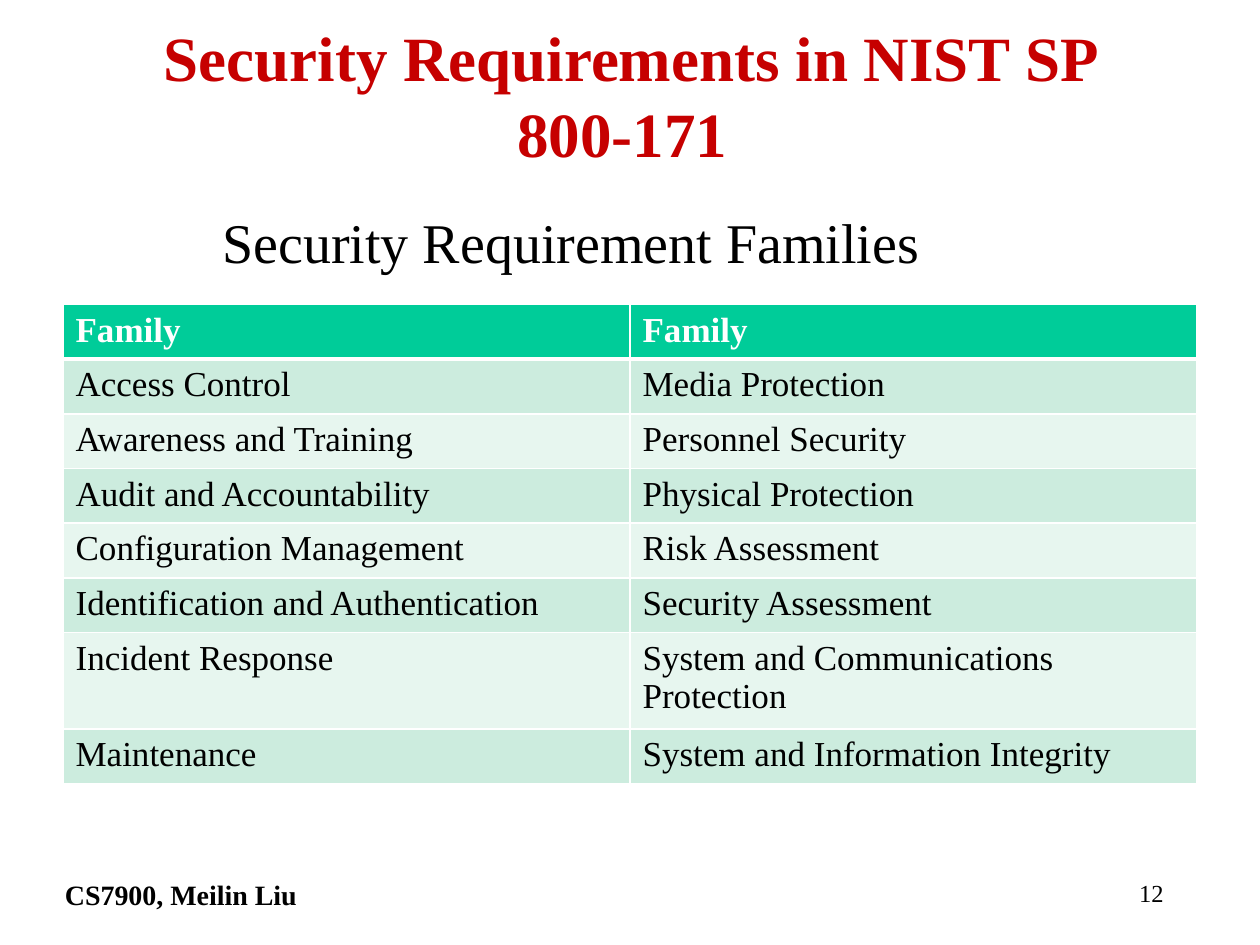
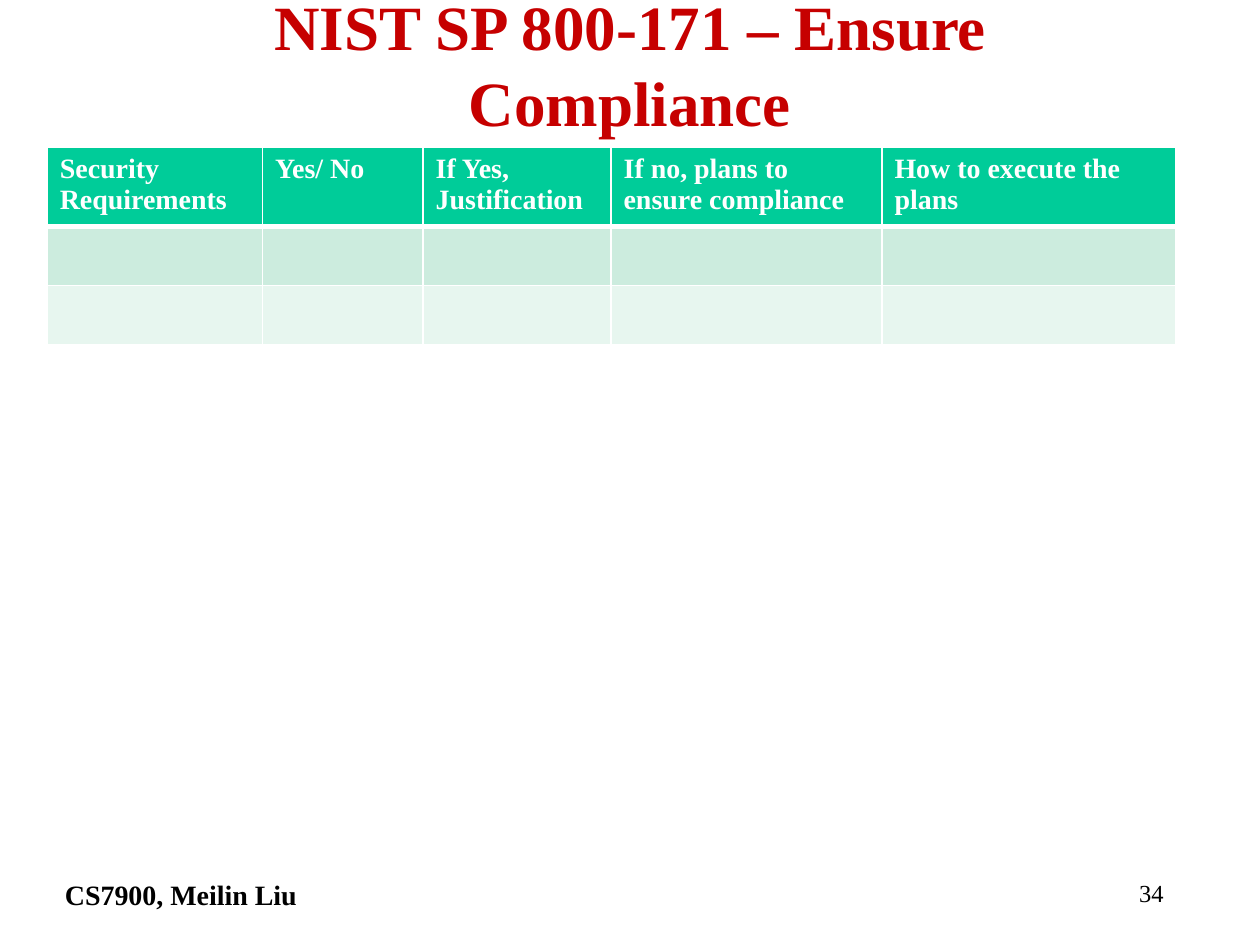
from dataclasses import dataclass

from lxml.etree import SubElement
from pptx import Presentation
from pptx.dml.color import RGBColor as Color
from pptx.enum.text import MSO_ANCHOR as Anchor, MSO_AUTO_SIZE as AutoSize, PP_ALIGN as Align
from pptx.oxml.ns import qn
from pptx.util import Inches, Pt

UNIT = Inches(1) // 12
COLUMNS, ROWS = 120, 90
TITLE_ONLY = 5


@dataclass(frozen=True)
class Theme:
    """Fonts, colours and type sizes shared by the slides."""
    font: str = "Times New Roman"
    title: str = "C60000"
    ink: str = "000000"
    paper: str = "FFFFFF"
    header: str = "00CC99"
    bands: tuple = ("CCECDE", "E7F6EF")
    title_size: int = 36
    subtitle_size: int = 32
    table_size: int = 20
    small_size: int = 16
    number_size: int = 14
    thin: int = 1
    thick: int = 3


THEME = Theme()

FAMILIES = [
    ("Family", "Family"),
    ("Access Control", "Media Protection"),
    ("Awareness and Training", "Personnel Security"),
    ("Audit and Accountability", "Physical Protection"),
    ("Configuration Management", "Risk Assessment"),
    ("Identification and Authentication", "Security Assessment"),
    ("Incident Response", "System and Communications Protection"),
    ("Maintenance", "System and Information Integrity"),
]
CHECKLIST = [
    ("Security Requirements", "Yes/ No", "If Yes, Justification",
     "If no, plans to ensure compliance", "How to execute the plans"),
    ("",) * 5,
    ("",) * 5,
]


def grid(*lengths):
    """Turn grid columns or rows into slide lengths."""
    return [round(length * UNIT) for length in lengths]


def style(para, size, color=THEME.ink, bold=False, align=Align.LEFT):
    """Set the font and alignment of a paragraph."""
    para.alignment = align
    para.font.name = THEME.font
    para.font.size = Pt(size)
    para.font.bold = bold
    para.font.color.rgb = Color.from_string(color)


def add_title(page, box, text):
    """Place the slide title in its placeholder."""
    title = page.shapes.title
    title.left, title.top, title.width, title.height = grid(*box)
    frame = title.text_frame
    frame.text = text
    frame.word_wrap = True
    frame.auto_size = AutoSize.NONE
    frame.vertical_anchor = Anchor.MIDDLE
    frame.margin_left = frame.margin_right = Inches(0.15)
    style(frame.paragraphs[0], THEME.title_size, THEME.title, True, Align.CENTER)


def add_label(page, box, text, size, wrap=True, **look):
    """Place one line of text in a text box."""
    frame = page.shapes.add_textbox(*grid(*box)).text_frame
    frame.word_wrap = wrap
    frame.text = text
    style(frame.paragraphs[0], size, **look)


def add_footer(page, number):
    """Place the course line and the slide number."""
    add_label(page, (5, 83, 76, 5), "CS7900, Meilin Liu", THEME.small_size, bold=True)
    add_label(page, (87, 83, 25, 5), number, THEME.number_size, align=Align.RIGHT)


def add_borders(cell, top, bottom):
    """Draw the four border lines of a cell."""
    properties = cell._tc.get_or_add_tcPr()
    sides = {"L": THEME.thin, "R": THEME.thin, "T": top, "B": bottom}
    for side, width in sides.items():
        line = SubElement(properties, qn(f"a:ln{side}"), w=str(Pt(width)))
        fill = SubElement(line, qn("a:solidFill"))
        SubElement(fill, qn("a:srgbClr"), val=THEME.paper)


def add_banded_table(page, corner, widths, heights, records, size):
    """Place a table with a coloured header and alternating row fills."""
    box = grid(*corner, sum(widths), sum(heights))
    table = page.shapes.add_table(len(heights), len(widths), *box).table
    table.horz_banding = False
    for column, width in zip(table.columns, grid(*widths)):
        column.width = width
    for index, (row, height, record) in enumerate(zip(table.rows, grid(*heights), records)):
        row.height = height
        is_header = index == 0
        fill = THEME.header if is_header else THEME.bands[(index - 1) % 2]
        color = THEME.paper if is_header else THEME.ink
        top = THEME.thick if index == 1 else THEME.thin
        bottom = THEME.thick if is_header else THEME.thin
        for cell, text in zip(row.cells, record):
            add_borders(cell, top, bottom)
            cell.fill.solid()
            cell.fill.fore_color.rgb = Color.from_string(fill)
            cell.text = text
            style(cell.text_frame.paragraphs[0], size, color, is_header)


def add_page(deck, title, title_top, number):
    """Add a slide with its title and footer."""
    page = deck.slides.add_slide(deck.slide_layouts[TITLE_ONLY])
    add_title(page, (9, title_top, 102, 10), title)
    add_footer(page, number)
    return page


def add_families_page(deck):
    """Add the slide that lists the requirement families."""
    page = add_page(deck, "Security Requirements in NIST SP 800-171 ", 4, "12")
    heights = [4.9] * len(FAMILIES)
    add_banded_table(page, (6, 29), [54, 54], heights, FAMILIES, THEME.table_size)
    add_label(page, (19.7, 19.2, 69.4, 7.6), "Security Requirement Families",
              THEME.subtitle_size, wrap=False, align=Align.CENTER)


def add_compliance_page(deck):
    """Add the slide with the empty compliance checklist."""
    page = add_page(deck, "NIST SP 800-171 – Ensure Compliance", 1, "34")
    widths = [20.5, 15.3, 17.9, 25.8, 28]
    add_banded_table(page, (4.5, 14), widths, [7.1, 5.6, 5.6], CHECKLIST, THEME.small_size)


def main():
    """Build and save the deck."""
    deck = Presentation()
    deck.slide_width, deck.slide_height = grid(COLUMNS, ROWS)
    add_families_page(deck)
    add_compliance_page(deck)
    deck.save("out.pptx")


if __name__ == "__main__":
    main()
